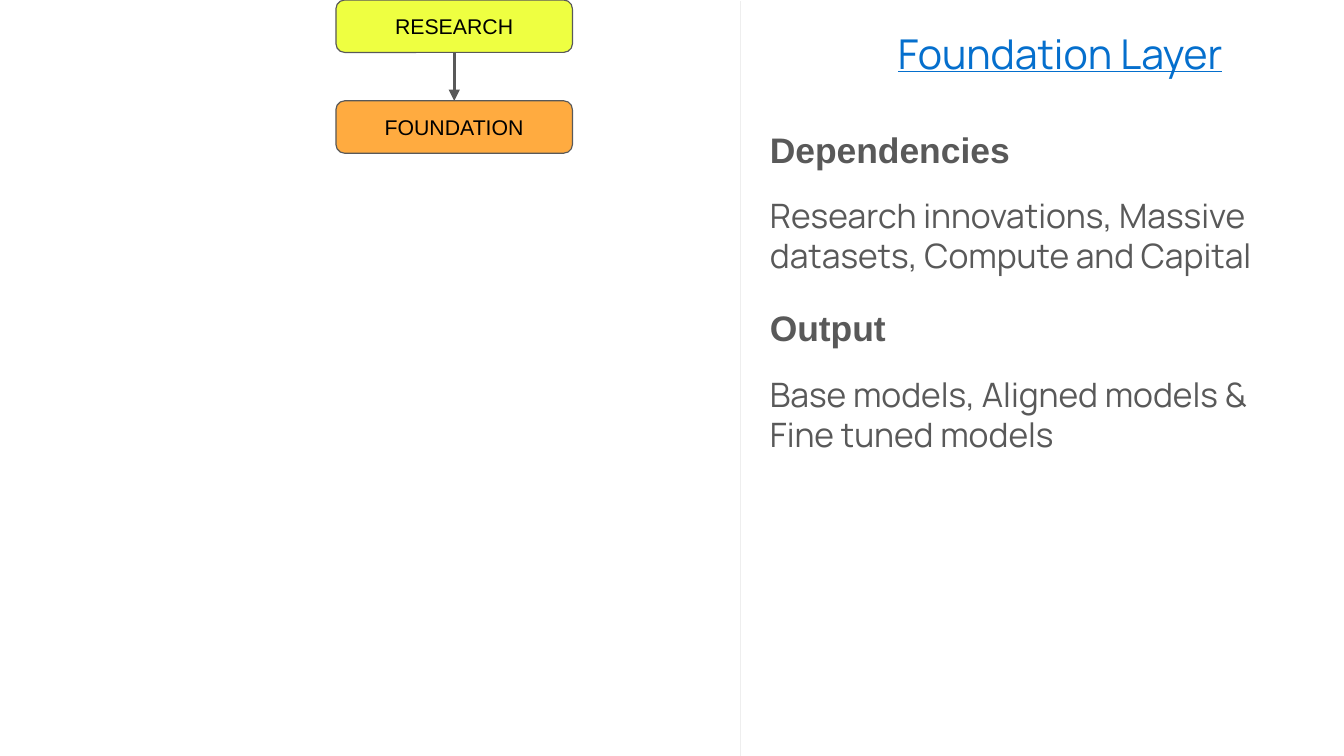
import pptx
import pptx.dml.color
import pptx.enum.shapes
import pptx.enum.text
import pptx.oxml
import pptx.oxml.ns
import pptx.util

PX = 4572  # EMU per px, 200 px to the inch
THEME = {
    "title": {"size": 22, "name": "Manrope", "color": "056FCD", "underline": True},
    "heading": {"size": 19, "name": "Arial", "color": "595959", "bold": True},
    "body": {"size": 18, "name": "Manrope", "color": "595959"},
    "layer": {"size": 11.4, "name": "Arial", "color": "000000"},
    "outline": "595959",
    "divider": "EEEEEE",
}

TITLE = "Foundation Layer"
LAYERS = [("RESEARCH", "EEFF41"), ("FOUNDATION", "FFAB40")]
SECTIONS = [  # heading, heading width, body, body height
    ("Dependencies", 608, "Research innovations, Massive datasets, Compute and Capital", 134),
    ("Output", 372, "Base models, Aligned models & Fine tuned models", 208),
]

SLIDE_W, SLIDE_H = 2000, 1125
LAYER_X, LAYER_W, LAYER_H, LAYER_STEP = 500, 352, 78, 150
DIVIDER_X, DIVIDER_TOP, DIVIDER_BOTTOM = 1102, 2, 1134
TITLE_BOX = (1316, 22, 646, 84)
TEXT_X, TEXT_W, HEADING_H = 1126, 838, 78
SECTION_TOP, SECTION_STEP, BODY_OFFSET = 170, 266, 100

ALIGN = pptx.enum.text.PP_ALIGN
ANCHOR = pptx.enum.text.MSO_ANCHOR


def emu(*lengths):
    return [pptx.util.Emu(n * PX) for n in lengths]


def rgb(value):
    return pptx.dml.color.RGBColor.from_string(value)


def element(tag, attributes=""):
    return pptx.oxml.parse_xml(f'<a:{tag} {pptx.oxml.ns.nsdecls("a")} {attributes}/>')


def write(shape, text, style, inset=20, align=ALIGN.LEFT, anchor=ANCHOR.TOP):
    tf = shape.text_frame
    frame = {"word_wrap": True, "auto_size": pptx.enum.text.MSO_AUTO_SIZE.NONE,
             "vertical_anchor": anchor}
    for side in ("left", "top", "right", "bottom"):
        frame[f"margin_{side}"] = pptx.util.Emu(inset * PX)
    for name, value in frame.items():
        setattr(tf, name, value)
    p = tf.paragraphs[0]
    p.alignment = align
    r = p.add_run()
    r.text = text
    for name, value in THEME[style].items():
        if name == "color":
            r.font.color.rgb = rgb(value)
        else:
            setattr(r.font, name, pptx.util.Pt(value) if name == "size" else value)


def add_text(s, box, text, style):
    write(s.shapes.add_textbox(*emu(*box)), text, style)


def add_layer(s, index, text, fill):
    sp = s.shapes.add_shape(pptx.enum.shapes.MSO_SHAPE.ROUNDED_RECTANGLE,
                            *emu(LAYER_X, index * LAYER_STEP, LAYER_W, LAYER_H))
    sp.shadow.inherit = False
    sp.fill.solid()
    sp.fill.fore_color.rgb = rgb(fill)
    sp.line.color.rgb = rgb(THEME["outline"])
    sp.line.width = pptx.util.Pt(0.61)
    write(sp, text, "layer", 16, ALIGN.CENTER, ANCHOR.MIDDLE)
    return sp


def add_line(s, ends, color, width):
    line = s.shapes.add_connector(pptx.enum.shapes.MSO_CONNECTOR.STRAIGHT, *emu(*ends))
    line.line.color.rgb = rgb(color)
    line.line.width = pptx.util.Pt(width)
    line._element.spPr.append(element("effectLst"))
    return line


def add_arrow(s, upper, lower):
    arrow = add_line(s, (0, 0, 0, 0), THEME["outline"], 1.5)
    arrow.begin_connect(upper, 2)
    arrow.end_connect(lower, 0)
    arrow.get_or_add_ln().append(element("tailEnd", 'type="triangle"'))


def main():
    prs = pptx.Presentation()
    prs.slide_width, prs.slide_height = emu(SLIDE_W, SLIDE_H)
    s = prs.slides.add_slide(prs.slide_layouts[5])

    title = s.shapes.title
    title.left, title.top, title.width, title.height = emu(*TITLE_BOX)
    write(title, TITLE, "title")

    layers = [add_layer(s, i, *layer) for i, layer in enumerate(LAYERS)]
    for upper, lower in zip(layers, layers[1:]):
        add_arrow(s, upper, lower)
    add_line(s, (DIVIDER_X, DIVIDER_TOP, DIVIDER_X, DIVIDER_BOTTOM), THEME["divider"], 0.75)

    for i, (heading, heading_w, body, body_h) in enumerate(SECTIONS):
        top = SECTION_TOP + i * SECTION_STEP
        add_text(s, (TEXT_X, top, heading_w, HEADING_H), heading, "heading")
        add_text(s, (TEXT_X, top + BODY_OFFSET, TEXT_W, body_h), body, "body")

    prs.save("out.pptx")


if __name__ == "__main__":
    main()
